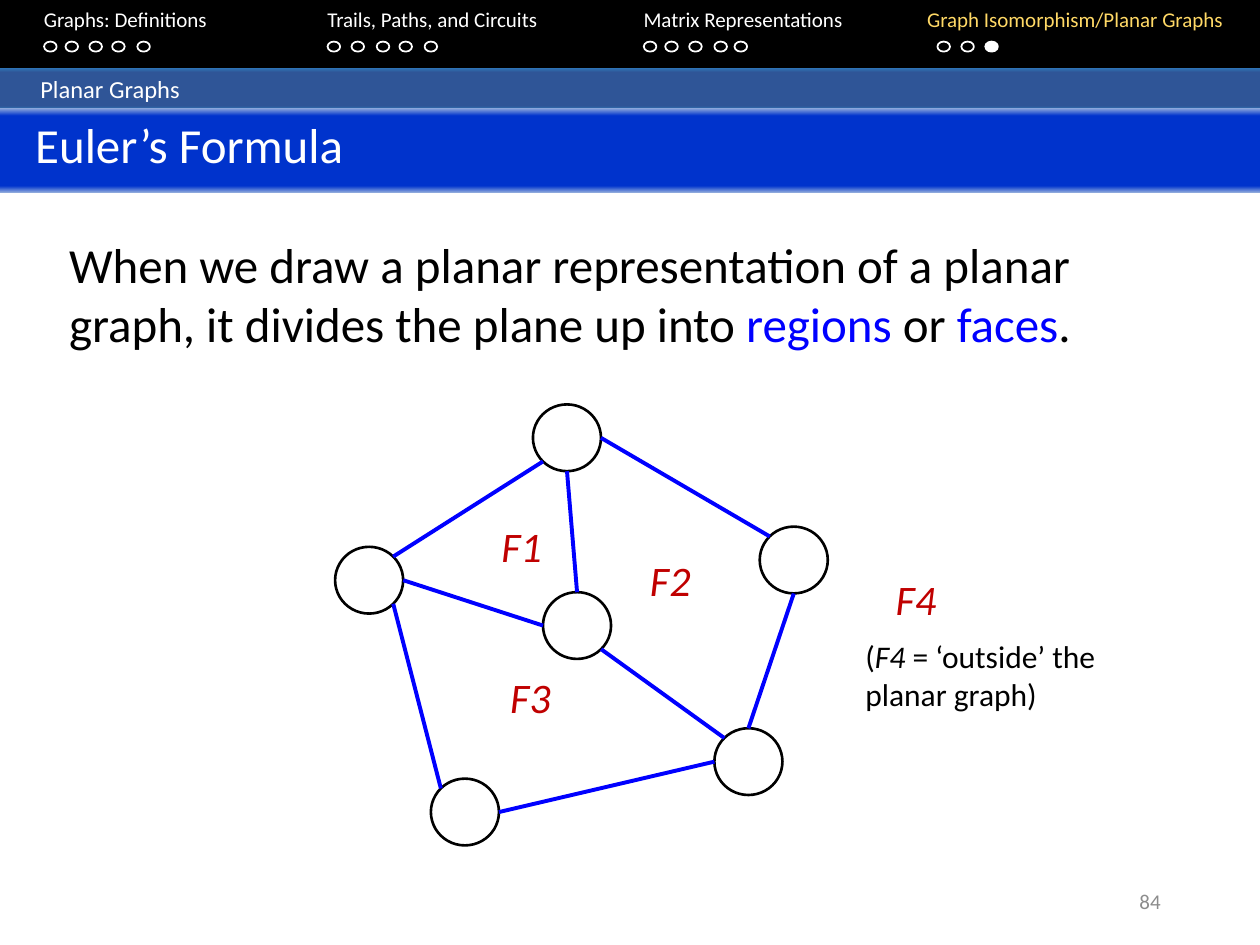
"""Build the Euler's Formula slide with its navigation header and planar graph."""
import math

import lxml.etree
import pptx
import pptx.dml.color
import pptx.enum.shapes
import pptx.enum.text
import pptx.oxml.ns
import pptx.util

Inches = pptx.util.Inches
ALIGN = pptx.enum.text.PP_ALIGN
ANCHOR = pptx.enum.text.MSO_ANCHOR
SHAPE = pptx.enum.shapes.MSO_SHAPE
qn = pptx.oxml.ns.qn

COLORS = {
    "black": "000000", "white": "FFFFFF", "gold": "FFD966", "gray": "8C8C8C",
    "blue": "0000FF", "red": "C00000", "sky": "2E75B6", "steel": "2F5597",
    "pale": "8FAADC", "royal": "0033CC",
}
SECTIONS = [
    ("Graphs: Definitions", "white", 0.25, [0.35, 0.52, 0.71, 0.89, 1.09]),
    ("Trails, Paths, and Circuits", "white", 2.5, [2.6, 2.79, 2.99, 3.17, 3.37]),
    ("Matrix Representations", "white", 5.01, [5.11, 5.28, 5.47, 5.67, 5.83]),
    ("Graph Isomorphism/Planar Graphs", "gold", 7.26, [7.44, 7.63, 7.82]),
]
CURRENT_DOT = 7.82
BARS = [
    ("Planar Graphs", 14, (0, 0.54, 10, 0.33), 0.32,
     [(0, "sky"), (11, "steel"), (91, "steel"), (100, "sky")]),
    ("Euler’s Formula", 28, (0, 0.86, 10, 0.67), 0.28,
     [(0, "pale"), (9, "royal"), (92, "royal"), (100, "pale")]),
]
STATEMENT = [
    ("When we draw a planar representation of a planar graph, "
     "it divides the plane up into ", "black", False),
    ("regions", "blue", False), (" or ", "black", False),
    ("faces", "blue", False), (".", "black", False),
]
OUTSIDE_NOTE = [
    ("(", "black", False), ("F4", "black", True),
    (" = ‘outside’ the planar graph)", "black", False),
]
FACES = [("F1", 3.77, 4.08), ("F2", 4.95, 4.35), ("F3", 3.84, 5.28), ("F4", 6.9, 4.5)]
NODE_WIDTH, NODE_HEIGHT = 0.54, 0.53
NODES = {
    "top": (4.23, 3.21), "west": (2.66, 4.34), "center": (4.31, 4.7),
    "east": (6.03, 4.18), "southwest": (3.42, 6.18), "southeast": (5.67, 5.78),
}
SITES = ["n", "nw", "w", "sw", "s", "se", "e", "ne"]
EDGES = [
    ("top", "sw", "west", "ne"), ("top", "s", "center", "n"),
    ("top", "e", "east", "nw"), ("east", "s", "southeast", "n"),
    ("center", "se", "southeast", "nw"), ("west", "e", "center", "w"),
    ("west", "se", "southwest", "nw"), ("southwest", "e", "southeast", "w"),
]


def rgb(name):
    return pptx.dml.color.RGBColor.from_string(COLORS[name])


def add_spans(para, spans, size):
    for text, color, italic in spans:
        span = para.add_run()
        span.text = text
        span.font.name = "Calibri"
        span.font.size = pptx.util.Pt(size)
        span.font.italic = italic
        span.font.color.rgb = rgb(color)


def add_text(slide, place, spans, size, align=ALIGN.LEFT, anchor=ANCHOR.TOP):
    box = slide.shapes.add_textbox(*map(Inches, place))
    box.text_frame.word_wrap = True
    box.text_frame.vertical_anchor = anchor
    para = box.text_frame.paragraphs[0]
    para.alignment = align
    add_spans(para, spans, size)
    return para


def add_figure(slide, kind, place, fill=None, line=None, width=1):
    figure = slide.shapes.add_shape(kind, *map(Inches, place))
    figure.shadow.inherit = False
    if fill:
        figure.fill.solid()
        figure.fill.fore_color.rgb = rgb(fill)
    else:
        figure.fill.background()
    if line:
        figure.line.color.rgb = rgb(line)
        figure.line.width = pptx.util.Pt(width)
    else:
        figure.line.fill.background()
    return figure


def add_bar(slide, text, size, place, indent, stops):
    bar = add_figure(slide, SHAPE.RECTANGLE, place)
    gradient = lxml.etree.Element(qn("a:gradFill"))
    stop_list = lxml.etree.SubElement(gradient, qn("a:gsLst"))
    for percent, color in stops:
        stop = lxml.etree.SubElement(stop_list, qn("a:gs"), pos=str(percent * 1000))
        lxml.etree.SubElement(stop, qn("a:srgbClr"), val=COLORS[color])
    lxml.etree.SubElement(gradient, qn("a:lin"), ang="5400000", scaled="0")
    properties = bar.element.spPr
    properties.replace(properties.find(qn("a:noFill")), gradient)
    frame = bar.text_frame
    frame.margin_left = Inches(indent)
    frame.vertical_anchor = ANCHOR.TOP
    frame.paragraphs[0].alignment = ALIGN.LEFT
    add_spans(frame.paragraphs[0], [(text, "white", False)], size)


def add_navigation(slide):
    add_figure(slide, SHAPE.RECTANGLE, (0, -0.02, 10, 0.56), "black")
    spans = [("\t" + title, color, False) for title, color, _, _ in SECTIONS]
    para = add_text(slide, (0, 0, 10, 0.5), spans, 12)
    tabs = lxml.etree.SubElement(para._p.get_or_add_pPr(), qn("a:tabLst"))
    for _, _, tab, dots in SECTIONS:
        lxml.etree.SubElement(tabs, qn("a:tab"), pos=str(int(Inches(tab))), algn="l")
        for left in dots:
            fill = "white" if left == CURRENT_DOT else None
            add_figure(slide, SHAPE.OVAL, (left, 0.33, 0.1, 0.08), fill, "white")


def site_point(node, site):
    left, top = NODES[node]
    angle = math.radians(45 * SITES.index(site))
    return (Inches(left + NODE_WIDTH / 2 * (1 - math.sin(angle))),
            Inches(top + NODE_HEIGHT / 2 * (1 - math.cos(angle))))


def add_graph(slide):
    circles = {
        name: add_figure(slide, SHAPE.OVAL, (*corner, NODE_WIDTH, NODE_HEIGHT),
                         None, "black", 1.5)
        for name, corner in NODES.items()
    }
    for start, start_site, end, end_site in EDGES:
        edge = slide.shapes.add_connector(
            pptx.enum.shapes.MSO_CONNECTOR.STRAIGHT, 0, 0, 0, 0)
        edge.begin_connect(circles[start], SITES.index(start_site) // 2)
        edge.end_connect(circles[end], SITES.index(end_site) // 2)
        links = edge._element.nvCxnSpPr.cNvCxnSpPr
        links.stCxn.idx = SITES.index(start_site)
        links.endCxn.idx = SITES.index(end_site)
        edge.begin_x, edge.begin_y = site_point(start, start_site)
        edge.end_x, edge.end_y = site_point(end, end_site)
        edge.line.color.rgb = rgb("blue")
        edge.line.width = pptx.util.Pt(2.25)
        lxml.etree.SubElement(edge._element.spPr, qn("a:effectLst"))
    for label, left, top in FACES:
        add_text(slide, (left, top, 0.74, 0.5), [(label, "red", True)], 24, ALIGN.CENTER)
    add_text(slide, (6.77, 5.01, 2.1, 0.71), OUTSIDE_NOTE, 18)


def main():
    deck = pptx.Presentation()
    deck.slide_width, deck.slide_height = Inches(10), Inches(7.5)
    page = deck.slides.add_slide(deck.slide_layouts[6])
    add_navigation(page)
    for bar in BARS:
        add_bar(page, *bar)
    add_text(page, (0.45, 1.81, 9.13, 1.04), STATEMENT, 28)
    add_graph(page)
    add_text(page, (7.06, 6.95, 2.25, 0.4), [("84", "gray", False)], 12,
             ALIGN.RIGHT, ANCHOR.MIDDLE)
    deck.save("out.pptx")


if __name__ == "__main__":
    main()
